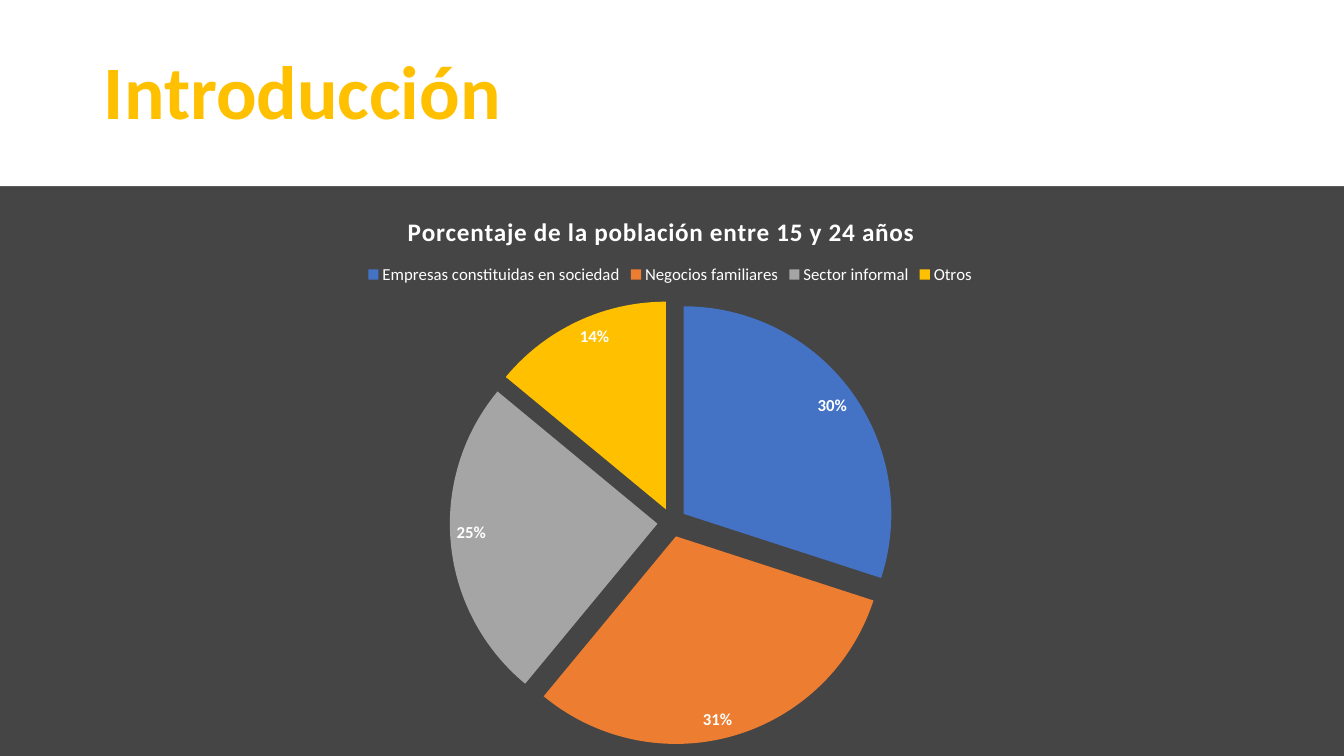
from dataclasses import dataclass

import lxml.etree
import pptx
import pptx.chart.data
import pptx.dml.color
import pptx.enum.chart
import pptx.enum.shapes
import pptx.enum.text
import pptx.oxml
import pptx.oxml.ns
import pptx.util

RGB = pptx.dml.color.RGBColor
WHITE = RGB(0xFF, 0xFF, 0xFF)
DARK = RGB(0x45, 0x45, 0x45)
BLUE = RGB(0x44, 0x72, 0xC4)
ORANGE = RGB(0xED, 0x7D, 0x31)
GRAY = RGB(0xA5, 0xA5, 0xA5)
GOLD = RGB(0xFF, 0xC0, 0x00)

WIDE, HIGH = pptx.util.Inches(13.33), pptx.util.Inches(7.5)
SPLIT = 1.85 / 7.5  # share of the height taken by the header
qn = pptx.oxml.ns.qn


@dataclass
class Box:
    """An area in shares of the slide's width and height."""
    x: float
    y: float
    w: float
    h: float

    def emu(self) -> tuple:
        return (int(self.x * WIDE), int(self.y * HIGH),
                int(self.w * WIDE), int(self.h * HIGH))


@dataclass
class Band:
    box: Box
    color: RGB


@dataclass
class Slice:
    name: str
    value: int
    color: RGB


HEAD = Box(0, 0, 1, SPLIT)
BODY = Box(0, SPLIT, 1, 1 - SPLIT)
BANDS = [Band(HEAD, WHITE), Band(BODY, DARK)]
SLICES = [
    Slice("Empresas constituidas en sociedad", 30, BLUE),
    Slice("Negocios familiares", 31, ORANGE),
    Slice("Sector informal", 25, GRAY),
    Slice("Otros", 14, GOLD),
]


def style(font, size: float, color: RGB, bold: bool = False) -> None:
    values = {"name": "Calibri", "size": pptx.util.Pt(size), "bold": bold}
    for key, value in values.items():
        setattr(font, key, value)
    font.color.rgb = color


def draw_band(slide, band: Band) -> None:
    shape = slide.shapes.add_shape(
        pptx.enum.shapes.MSO_SHAPE.RECTANGLE, *band.box.emu())
    shape.shadow.inherit = False
    shape.fill.solid()
    shape.fill.fore_color.rgb = band.color
    shape.line.fill.background()


def draw_title(slide, text: str, box: Box) -> None:
    frame = slide.shapes.add_textbox(*box.emu()).text_frame
    frame.word_wrap = True
    frame.vertical_anchor = pptx.enum.text.MSO_ANCHOR.MIDDLE
    para = frame.paragraphs[0]
    para.line_spacing = 0.9
    run = para.add_run()
    run.text = text
    style(run.font, 54, GOLD, True)


def place(part, index: int, **shares: float) -> None:
    """Give a chart part a fixed place, in shares of the chart."""
    for old in part.findall(qn("c:layout")):
        part.remove(old)
    layout = lxml.etree.Element(qn("c:layout"))
    manual = lxml.etree.SubElement(layout, qn("c:manualLayout"))
    values = {"xMode": "edge", "yMode": "edge", **shares}
    if "w" in shares:
        values = {"layoutTarget": "inner", **values}
    for key, value in values.items():
        lxml.etree.SubElement(manual, qn("c:" + key)).set("val", str(value))
    part.insert(index, layout)


def draw_pie(slide, text: str, box: Box, slices: list) -> None:
    data = pptx.chart.data.CategoryChartData()
    data.categories = [item.name for item in slices]
    data.add_series("Series 1", [item.value for item in slices])
    kinds = pptx.enum.chart
    chart = slide.shapes.add_chart(
        kinds.XL_CHART_TYPE.PIE, *box.emu(), data).chart
    style(chart.font, 10, WHITE)

    # Chart title
    chart.has_title = True
    run = chart.chart_title.text_frame.paragraphs[0].add_run()
    run.text = text
    style(run.font, 18, WHITE, True)
    run.font._element.set("spc", "50")
    chart.chart_title.include_in_layout = False

    # Legend
    chart.has_legend = True
    chart.legend.position = kinds.XL_LEGEND_POSITION.TOP
    chart.legend.include_in_layout = False
    style(chart.legend.font, 12, WHITE)

    # Slices, pulled apart
    plot = chart.plots[0]
    plot.vary_by_categories = True
    series = plot.series[0]
    for index, item in enumerate(slices):
        point = series.points[index].format
        point.fill.solid()
        point.fill.fore_color.rgb = item.color
        point.line.fill.background()
    burst = lxml.etree.Element(qn("c:explosion"))
    burst.set("val", "7")
    series._element.find(qn("c:tx")).addnext(burst)

    # Percent labels
    plot.has_data_labels = True
    labels = plot.data_labels
    values = {"show_percentage": True, "show_value": False,
              "position": kinds.XL_LABEL_POSITION.INSIDE_END}
    for key, value in values.items():
        setattr(labels, key, value)
    style(labels.font, 12, WHITE, True)

    # Places and clear background
    root = chart._chartSpace.find(qn("c:chart"))
    place(root.find(qn("c:title")), 1, x=0.3, y=0.04)
    place(root.find(qn("c:legend")), 1, x=0.27, y=0.13)
    place(root.find(qn("c:plotArea")), 0, x=0.33, y=0.2, w=0.34, h=0.78)
    clear = lxml.etree.Element(qn("c:spPr"))
    lxml.etree.SubElement(clear, qn("a:noFill"))
    line = lxml.etree.SubElement(clear, qn("a:ln"))
    lxml.etree.SubElement(line, qn("a:noFill"))
    root.addnext(clear)


def main() -> None:
    deck = pptx.Presentation()
    deck.slide_width, deck.slide_height = WIDE, HIGH
    slide = deck.slides.add_slide(deck.slide_layouts[6])
    slide.background.fill.solid()
    slide.background.fill.fore_color.rgb = DARK
    for band in BANDS:
        draw_band(slide, band)
    draw_title(slide, "Introducción", Box(0.07, 0.03, 0.86, 0.19))
    draw_pie(slide, "Porcentaje de la población entre 15 y 24 años",
             BODY, SLICES)
    deck.save("out.pptx")


if __name__ == "__main__":
    main()
